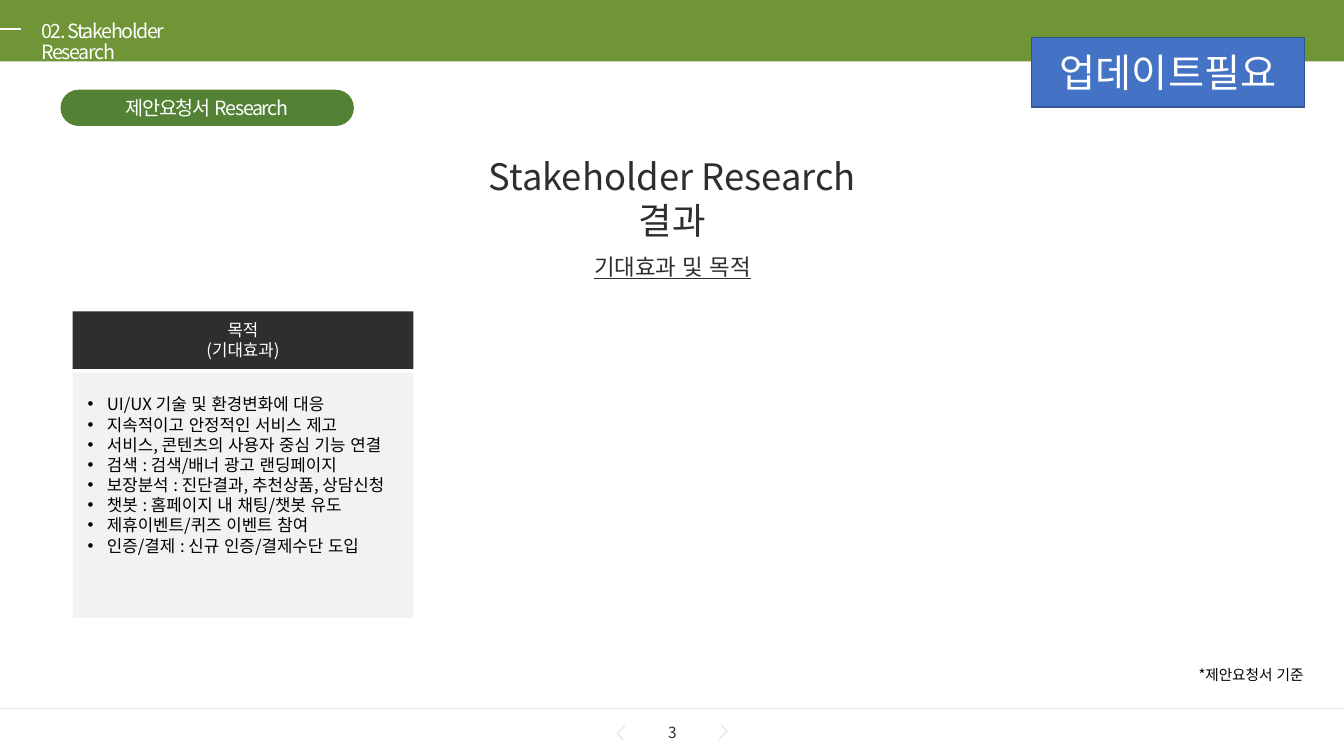
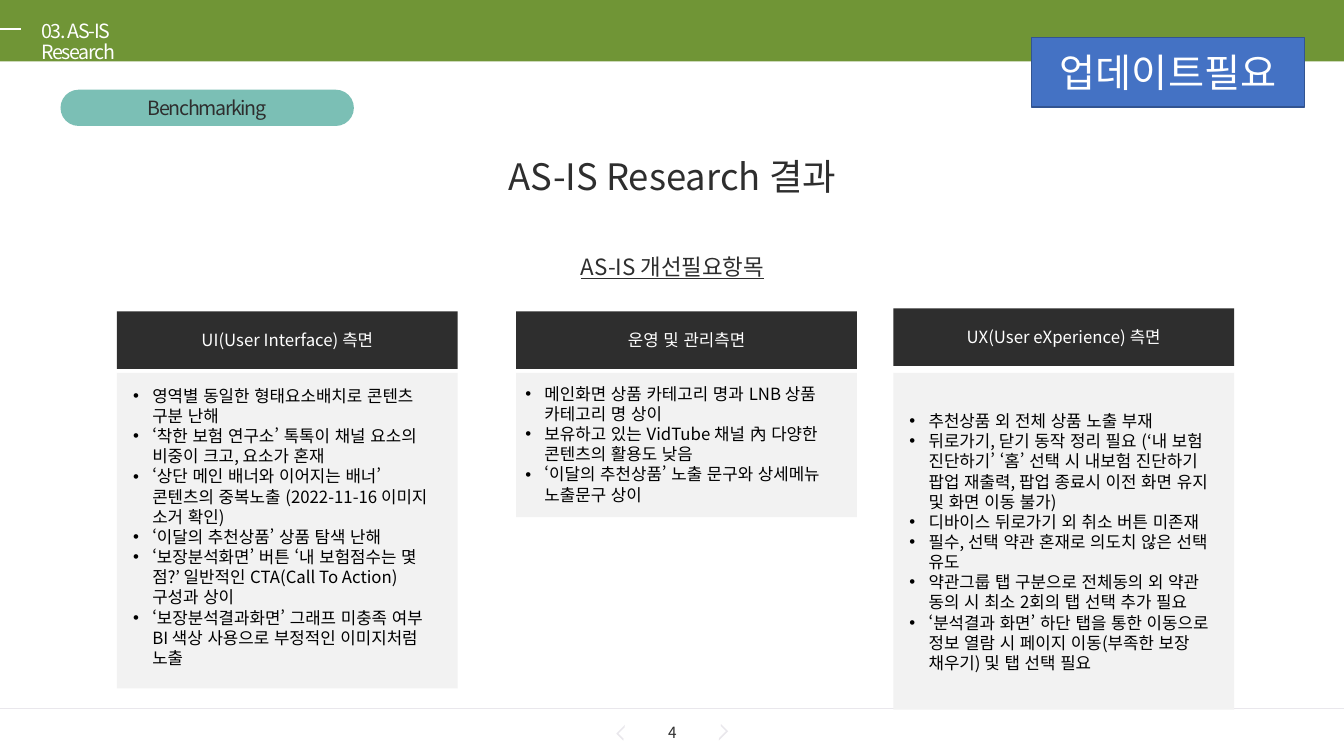
from lxml import etree
from pptx import Presentation
from pptx.dml.color import RGBColor
from pptx.enum.lang import MSO_LANGUAGE_ID
from pptx.enum.shapes import MSO_CONNECTOR, MSO_SHAPE
from pptx.enum.text import MSO_ANCHOR, MSO_AUTO_SIZE, PP_ALIGN
from pptx.oxml.ns import qn
from pptx.util import Inches, Pt

RECT, PILL, HALF = MSO_SHAPE.RECTANGLE, MSO_SHAPE.ROUNDED_RECTANGLE, MSO_SHAPE.HALF_FRAME
LEFT, MID, RIGHT = PP_ALIGN.LEFT, PP_ALIGN.CENTER, PP_ALIGN.RIGHT
TOP, CENTER = MSO_ANCHOR.TOP, MSO_ANCHOR.MIDDLE
WHITE = RGBColor(0xFF, 0xFF, 0xFF)
BLACK = RGBColor(0, 0, 0)
DARK = RGBColor(0x2E, 0x2E, 0x2E)
PALE = RGBColor(0xF2, 0xF2, 0xF2)
RULE = RGBColor(0xE9, 0xE7, 0xEC)
OLIVE = RGBColor(0x70, 0x95, 0x36)
GREEN = RGBColor(0x54, 0x82, 0x35)
TEAL = RGBColor(0x7B, 0xBF, 0xB5)
BLUE = RGBColor(0x44, 0x72, 0xC4)
NAVY = RGBColor(0x32, 0x54, 0x91)
FACE = "Noto Sans CJK KR"
WIDE, HEAD = 3.38, 0.57  # column width and header height

# Text styles: font values, then colour, alignment, anchor, letter spacing, bullets
BASE = {"name": FACE, "bold": False, "language_id": MSO_LANGUAGE_ID.KOREAN}
STYLES = {
    "section": ({"size": Pt(14)}, WHITE, LEFT, TOP, -100, False),
    "title": ({"size": Pt(26)}, DARK, MID, TOP, 0, False),
    "sub": ({"size": Pt(16), "underline": True}, DARK, MID, TOP, 0, False),
    "head": ({"size": Pt(12)}, WHITE, MID, CENTER, 0, False),
    "list": ({"size": Pt(12)}, BLACK, LEFT, CENTER, 0, True),
    "note": ({"size": Pt(10.5)}, BLACK, RIGHT, TOP, 0, False),
    "pill": ({"size": Pt(14)}, WHITE, MID, CENTER, -100, False),
    "badge": ({"size": Pt(28)}, WHITE, MID, CENTER, 0, False),
    "page": ({"size": Pt(11)}, DARK, MID, CENTER, 0, False),
}

SLIDES = [
    {
        "page": "3", "section": "02. Stakeholder Research",
        "pill": ("제안요청서 Research", GREEN, WHITE),
        "title": "Stakeholder Research 결과", "sub": "기대효과 및 목적",
        "note": "*제안요청서 기준",
        # left, header top, panel height, list box, anchor, header, items
        "cols": [(0.72, 3.09, 2.43, (0.85, 3.86, 3.03, 2.12), TOP, ["목적", "(기대효과)"], [
            "UI/UX 기술 및 환경변화에 대응",
            "지속적이고 안정적인 서비스 제고",
            "서비스, 콘텐츠의 사용자 중심 기능 연결",
            "검색 : 검색/배너 광고 랜딩페이지",
            "보장분석 : 진단결과, 추천상품, 상담신청",
            "챗봇 : 홈페이지 내 채팅/챗봇 유도",
            "제휴이벤트/퀴즈 이벤트 참여",
            "인증/결제 : 신규 인증/결제수단 도입",
        ])],
    },
    {
        "page": "4", "section": "03. AS-IS Research",
        "pill": ("Benchmarking", TEAL, DARK),
        "title": "AS-IS Research 결과", "sub": "AS-IS 개선필요항목",
        "note": None,
        "cols": [
            (1.16, 3.09, 3.13, (1.3, 3.76, 3.06, 2.93), CENTER, ["UI(User Interface) 측면"], [
                "영역별 동일한 형태요소배치로 콘텐츠 구분 난해",
                "‘착한 보험 연구소’ 톡톡이 채널 요소의 비중이 크고, 요소가 혼재",
                "‘상단 메인 배너와 이어지는 배너’ 콘텐츠의 중복노출 (2022-11-16 이미지 소거 확인)",
                "‘이달의 추천상품’ 상품 탐색 난해",
                "‘보장분석화면’ 버튼 ‘내 보험점수는 몇 점?’ 일반적인 CTA(Call To Action) 구성과 상이",
                "‘보장분석결과화면’ 그래프 미충족 여부 BI 색상 사용으로 부정적인 이미지처럼 노출",
            ]),
            (5.12, 3.09, 1.43, (5.19, 3.75, 3.24, 1.31), CENTER, ["운영 및 관리측면"], [
                "메인화면 상품 카테고리 명과 LNB 상품 카테고리 명 상이",
                "보유하고 있는 VidTube 채널 內 다양한 콘텐츠의 활용도 낮음",
                "‘이달의 추천상품’ 노출 문구와 상세메뉴 노출문구 상이",
            ]),
            (8.86, 3.06, 3.34, (9, 3.81, 3.06, 3.13), CENTER, ["UX(User eXperience) 측면"], [
                "추천상품 외 전체 상품 노출 부재",
                "뒤로가기, 닫기 동작 정리 필요 (‘내 보험 진단하기’ ‘홈’ 선택 시 내보험 진단하기 "
                "팝업 재출력, 팝업 종료시 이전 화면 유지 및 화면 이동 불가)",
                "디바이스 뒤로가기 외 취소 버튼 미존재",
                "필수, 선택 약관 혼재로 의도치 않은 선택 유도",
                "약관그룹 탭 구분으로 전체동의 외 약관 동의 시 최소 2회의 탭 선택 추가 필요",
                "‘분석결과 화면’ 하단 탭을 통한 이동으로 정보 열람 시 페이지 이동"
                "(부족한 보장 채우기) 및 탭 선택 필요",
            ]),
        ],
    },
]


def block(slide, kind, at, fill):
    """Add a flat filled shape."""
    shape = slide.shapes.add_shape(kind, *map(Inches, at))
    shape.shadow.inherit = False
    shape.fill.solid()
    shape.fill.fore_color.rgb = fill
    shape.line.fill.background()
    return shape


def write(shape, lines, style, at=None, ink=None, anchor=None):
    """Fill a shape, text box or placeholder with styled paragraphs."""
    font, color, align, hold, track, dots = STYLES[style]
    if at:
        for key, val in zip(("left", "top", "width", "height"), at):
            setattr(shape, key, Inches(val))
    side = Inches(0.02 if style in ("list", "note") else 0.1)
    frame = shape.text_frame
    form = {"word_wrap": True, "auto_size": MSO_AUTO_SIZE.NONE,
            "vertical_anchor": anchor or hold,
            "margin_left": side, "margin_right": side,
            "margin_top": Inches(0.05), "margin_bottom": Inches(0.05)}
    for key, val in form.items():
        setattr(frame, key, val)
    for i, line in enumerate(lines):
        para = frame.add_paragraph() if i else frame.paragraphs[0]
        para.alignment = align
        para.space_before = Pt(0)
        para.line_spacing = 0.9 if style == "section" else 1.0
        if dots:
            props = para._p.get_or_add_pPr()
            props.set("marL", str(Inches(0.19)))
            props.set("indent", str(-Inches(0.19)))
            etree.SubElement(props, qn("a:buFont")).set("typeface", "Arial")
            etree.SubElement(props, qn("a:buChar")).set("char", "•")
        run = para.add_run()
        run.text = line
        for key, val in {**BASE, **font}.items():
            setattr(run.font, key, val)
        run.font.color.rgb = ink or color
        props = run._r.get_or_add_rPr()
        if track:
            props.set("spc", str(track))
        props.find(qn("a:latin")).addnext(props.makeelement(qn("a:ea"), {"typeface": FACE}))


prs = Presentation()
prs.slide_width, prs.slide_height = Inches(13.33), Inches(7.5)
layout = prs.slide_layouts.get_by_name("Comparison")
pages = [prs.slides.add_slide(layout) for _ in SLIDES]

# Shared frame: drawn once, then moved to the layout
first = pages[0]
parts = [block(first, RECT, (0, 0, 13.33, 0.61), OLIVE)]
for end, y, color, width in ((13.33, 7.03, RULE, 0.5), (0.21, 0.29, WHITE, 1.5)):
    rule = first.shapes.add_connector(
        MSO_CONNECTOR.STRAIGHT, 0, Inches(y), Inches(end), Inches(y))
    rule.line.color.rgb = color
    rule.line.width = Pt(width)
    etree.SubElement(rule._element.spPr, qn("a:effectLst"))
    parts.append(rule)
for at, turn, flip in (((6.13, 7.22, 0.12, 0.1), 315, "0"), ((7.09, 7.2, 0.1, 0.13), 45, "1")):
    arrow = block(first, HALF, at, RULE)
    arrow.rotation = turn
    arrow.adjustments[0], arrow.adjustments[1] = 0.14, 0.16
    arrow._element.spPr.xfrm.set("flipH", flip)
    parts.append(arrow)
for num, part in enumerate(parts, 100):
    part._element.xpath(".//p:cNvPr")[0].set("id", str(num))
    layout.shapes._spTree.append(part._element)

for slide, data in zip(pages, SLIDES):
    shapes = slide.shapes
    holds = {p.placeholder_format.idx: p for p in slide.placeholders}

    # Section name, title and text boxes
    write(holds.pop(1), [data["section"]], "section", (0.31, 0.16, 1.5, 0.5))
    write(holds.pop(0), [data["title"]], "title", (4.38, 1.48, 4.58, 0.54))
    boxes = (("sub", (5.42, 2.46, 2.5, 0.37)), ("note", (9.92, 6.56, 3.03, 0.29)),
             ("page", (6.28, 7.14, 0.78, 0.26)))
    for name, at in boxes:
        if data[name]:
            write(shapes.add_textbox(0, 0, 0, 0), [data[name]], name, at)

    # Columns: dark header, pale panel, list on top
    for idx, col in enumerate(data["cols"], 2):
        x, y, high, at, anchor, head, items = col
        write(block(slide, RECT, (x, y, WIDE, HEAD), DARK), head, "head")
        block(slide, RECT, (x, 3.7, WIDE, high), PALE)
        body = holds.pop(idx)
        write(body, items, "list", at, anchor=anchor)
        shapes._spTree.append(body._element)

    # Topic pill and update badge
    label, fill, ink = data["pill"]
    pill = block(slide, PILL, (0.6, 0.89, 2.91, 0.36), fill)
    pill.adjustments[0] = 0.5
    write(pill, [label], "pill", ink=ink)
    badge = block(slide, RECT, (10.23, 0.37, 2.71, 0.69), BLUE)
    badge.line.color.rgb = NAVY
    badge.line.width = Pt(1)
    write(badge, ["업데이트필요"], "badge")

    # Unused placeholders
    for spare in holds.values():
        shapes._spTree.remove(spare._element)

prs.save("out.pptx")
